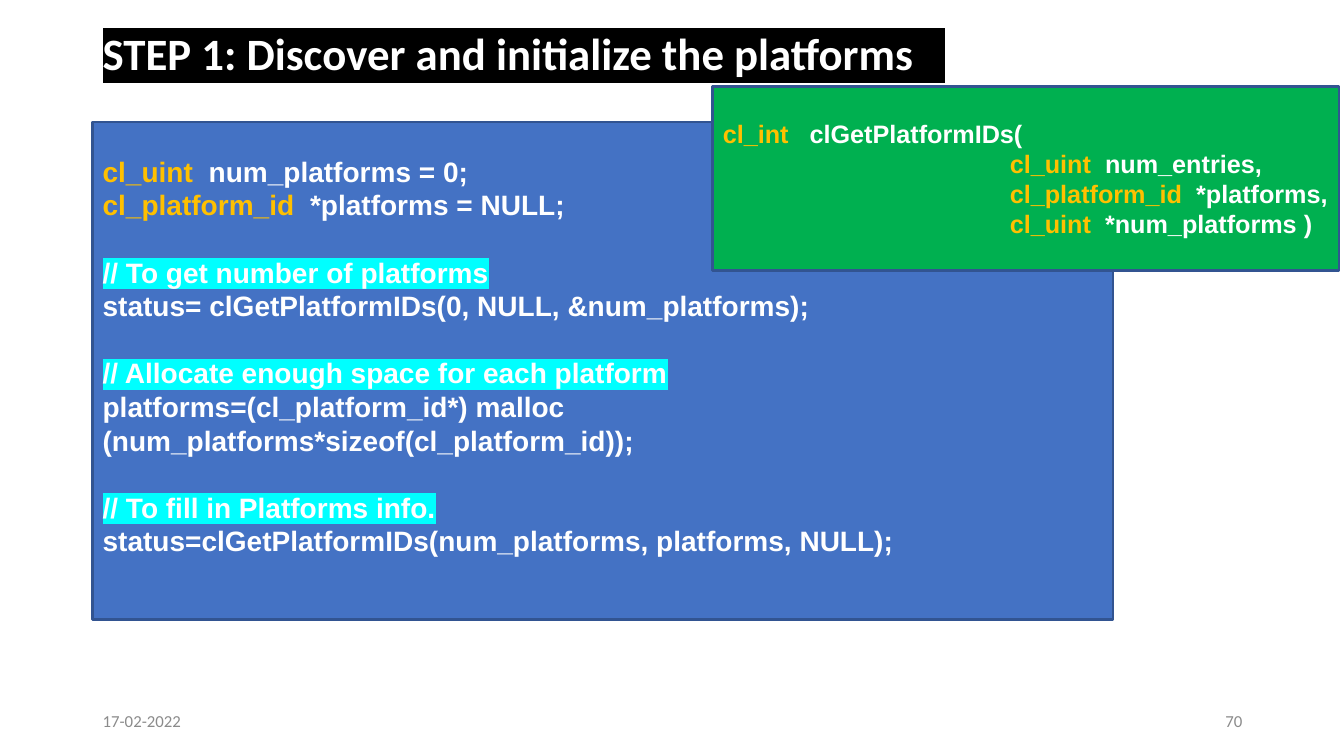
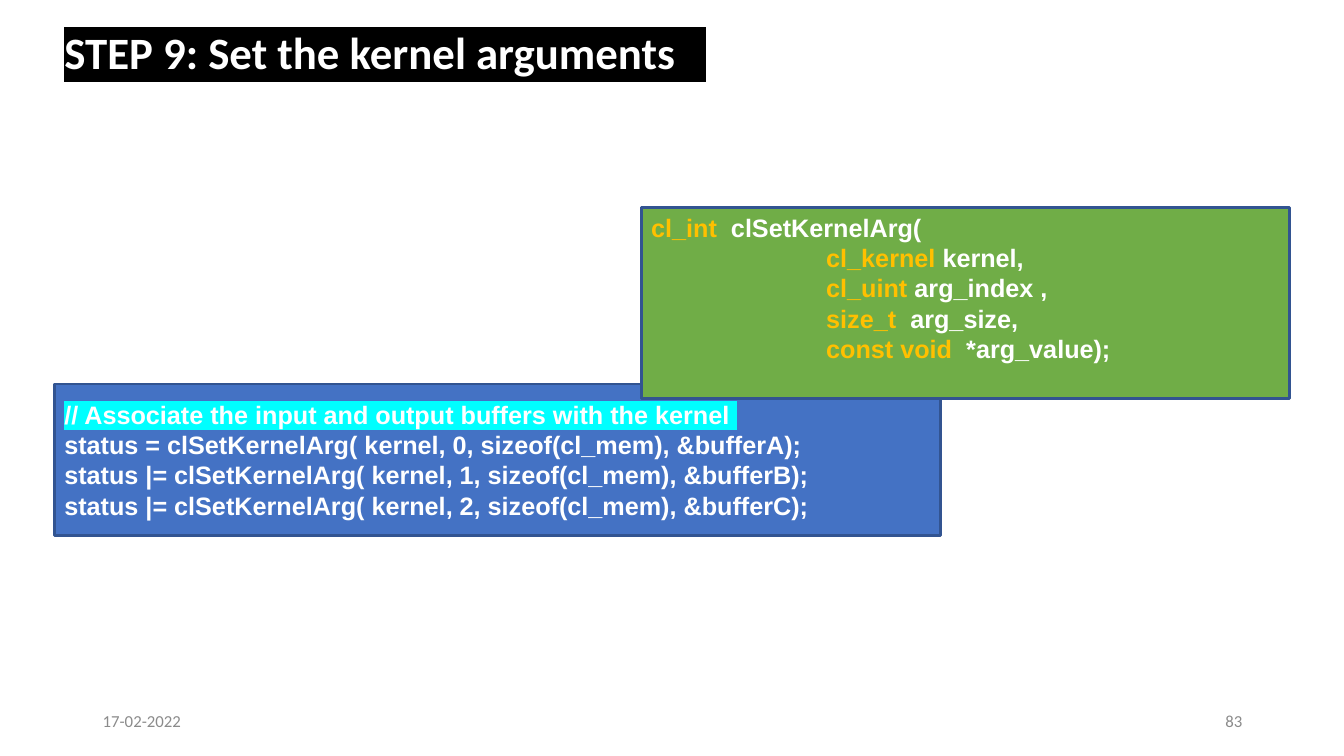
import pptx
import pptx.dml.color
import pptx.enum.shapes
import pptx.enum.text
import pptx.oxml.ns
import pptx.util
from dataclasses import dataclass
from lxml import etree


@dataclass(frozen=True)
class Theme:
    white: str = "FFFFFF"
    black: str = "000000"
    grey: str = "8B8B8B"
    blue: str = "4472C4"
    edge: str = "325491"
    gold: str = "FFC000"
    cyan: str = "00FFFF"
    head: str = "Calibri"
    code: str = "Arial"
    title: int = 32
    large: int = 20
    small: int = 18
    foot: int = 12


T = Theme()
Pt = pptx.util.Pt
RGB = pptx.dml.color.RGBColor.from_string
ALIGN = pptx.enum.text.PP_ALIGN

deck = pptx.Presentation()
deck.slide_width = pptx.util.Inches(13.33)
deck.slide_height = pptx.util.Inches(7.5)


def write(page, area, lines, size=T.small, font=T.code, bold=True, color=T.white,
          mark=None, fill=None, align=ALIGN.LEFT, indent=0, lead=None, right=7.2, foot=3.6):
    """Put lines of (type, rest) in an area given in percent of the slide.

    Types are gold, and lines that start with // are marked in cyan.
    Lines after the first are indented; right and foot are insets in points.
    """
    spans = [deck.slide_width, deck.slide_height] * 2
    place = [int(span * share / 100) for span, share in zip(spans, area)]
    if fill:
        box = page.shapes.add_shape(pptx.enum.shapes.MSO_SHAPE.RECTANGLE, *place)
        box.shadow.inherit = False
        box.fill.solid()
        box.fill.fore_color.rgb = RGB(fill)
        box.line.color.rgb = RGB(T.edge)
        box.line.width = Pt(2)
    else:
        box = page.shapes.add_textbox(*place)
    frame = box.text_frame
    frame.word_wrap = True
    frame.vertical_anchor = pptx.enum.text.MSO_ANCHOR.MIDDLE
    frame.margin_right, frame.margin_bottom = Pt(right), Pt(foot)

    for row, (kind, rest) in enumerate(lines):
        para = frame.add_paragraph() if row else frame.paragraphs[0]
        para.alignment = align
        if lead:
            para.line_spacing = lead
        note = rest.startswith("//")
        if row and note:
            para.space_before = Pt(size * 1.2)
        if row and indent:
            para._p.get_or_add_pPr().set("marL", str(Pt(indent)))
        for text, tint in ((kind, T.gold), (rest, color)):
            if not text:
                continue
            run = para.add_run()
            run.text = text
            run.font.size, run.font.bold = Pt(size), bold
            run.font.color.rgb = RGB(tint)
            back = T.cyan if note else mark
            if back:
                tag = etree.SubElement(run.font._element, pptx.oxml.ns.qn("a:highlight"))
                etree.SubElement(tag, pptx.oxml.ns.qn("a:srgbClr"), val=back)
            run.font.name = font


def start(title, left, top, number):
    """Add a slide with its title, date and number."""
    page = deck.slides.add_slide(deck.slide_layouts[6])
    write(page, (left, top, 86.27, 10.93), [("", title)], size=T.title,
          font=T.head, mark=T.black, lead=0.9)
    for col, text, align in ((6.9, "17-02-2022", ALIGN.LEFT), (70.67, number, ALIGN.RIGHT)):
        write(page, (col, 92.67, 22.5, 5.33), [("", text)], size=T.foot,
              font=T.head, bold=False, color=T.grey, align=align)
    return page


page = start("STEP 1: Discover and initialize the platforms   ", 6.9, 2, "70")
write(page, (6.9, 16.13, 75.92, 65.87), [
    ("cl_uint  ", "num_platforms = 0;"),
    ("cl_platform_id  ", "*platforms = NULL;"),
    ("", "// To get number of platforms"),
    ("", "status= clGetPlatformIDs(0, NULL, &num_platforms);"),
    ("", "// Allocate enough space for each platform"),
    ("", "platforms=(cl_platform_id*) malloc (num_platforms*sizeof(cl_platform_id));"),
    ("", "// To fill in Platforms info."),
    ("", "status=clGetPlatformIDs(num_platforms, platforms, NULL);"),
], size=T.large, fill=T.blue, right=20, foot=25)
write(page, (53.04, 11.47, 46.59, 24.27), [
    ("cl_int   ", "clGetPlatformIDs("),
    ("cl_uint  ", "num_entries,"),
    ("cl_platform_id", "  *platforms,"),
    ("cl_uint", "  *num_platforms )"),
], fill="00B050", indent=205, right=3)

page = start("STEP 9: Set the kernel arguments   ", 4.05, 1.87, "83")
write(page, (4.05, 50.8, 65.94, 20), [
    ("", "// Associate the input and output buffers with the kernel "),
    ("", "status = clSetKernelArg( kernel, 0, sizeof(cl_mem), &bufferA);"),
    ("", "status |= clSetKernelArg( kernel, 1, sizeof(cl_mem), &bufferB);"),
    ("", "status |= clSetKernelArg( kernel, 2, sizeof(cl_mem), &bufferC);"),
], fill=T.blue)
write(page, (47.71, 27.47, 48.24, 25.2), [
    ("cl_int  ", "clSetKernelArg("),
    ("cl_kernel ", "kernel,"),
    ("cl_uint ", "arg_index ,"),
    ("size_t  ", "arg_size,"),
    ("const void", "  *arg_value);"),
], fill="70AD47", indent=125, foot=25)

deck.save("out.pptx")
